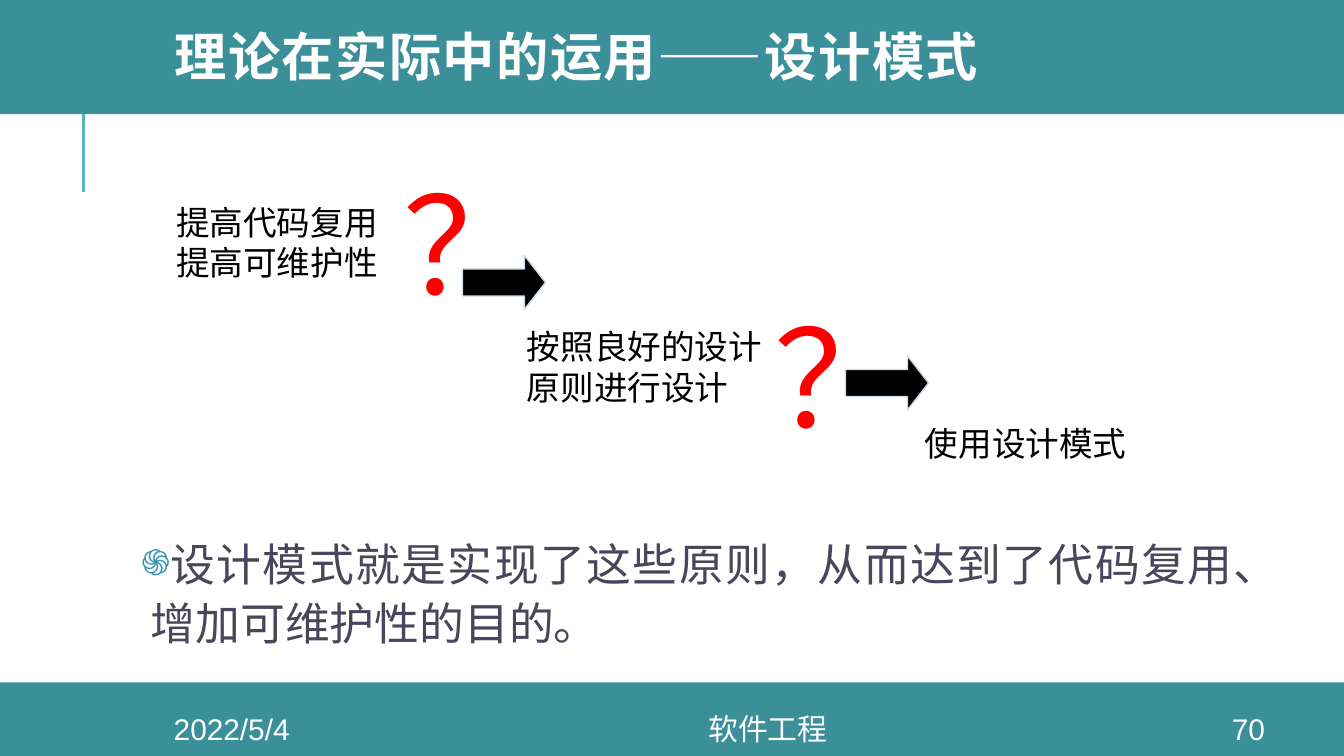
from dataclasses import dataclass

from lxml import etree
from pptx import Presentation
from pptx import util as u
from pptx.dml.color import RGBColor
from pptx.enum import shapes, text
from pptx.oxml import ns


@dataclass(frozen=True)
class Theme:
    font: str = "Arial"
    title_font: str = "Montserrat"
    bar: str = "3A8F98"
    rule: str = "58B6C0"
    outline: str = "CEDBE6"
    bullet: str = "3494BA"
    body: str = "48465B"
    light: str = "FFFFFF"
    dark: str = "000000"
    alert: str = "FF0000"
    title_size: int = 28
    body_size: int = 24
    step_size: int = 18
    footer_size: int = 16
    mark_size: int = 72


THEME = Theme()
SLIDE_SIZE = (25.4, 14.29)
TITLE = "理论在实际中的运用——设计模式"
BODY = "设计模式就是实现了这些原则，从而达到了代码复用、增加可维护性的目的。"
BARS = [(0, 12.9, 25.4, 1.39), (0, -0.08, 25.4, 2.24)]
STEPS = [
    ("提高代码复用\n提高可维护性", (3.1, 3.71, 4.29, 1.78), False),
    ("按照良好的设计原则进行设计", (9.73, 6.07, 5.08, 1.78), True),
    ("使用设计模式", (17.25, 7.9, 4.37, 1), True),
]
MARKS = [(7.39, 2.95), (14.4, 5.46)]
ARROWS = [(8.74, 4.83), (15.98, 6.73)]
FOOTERS = [("2022/5/4", 2.13, 4.5), ("软件工程", 6.63, 15.77), ("70", 22.58, 2.03)]
MARK_SIZE = (0.79, 3.3)
ARROW_SIZE = (1.57, 1.02)
STEP_INSETS = (0.23, 0.1)


def lengths(values):
    return [u.Cm(value) for value in values]


def add_block(slide, kind, box, fill, outline=None):
    shape = slide.shapes.add_shape(kind, *lengths(box))
    shape.shadow.inherit = False
    shape.fill.solid()
    shape.fill.fore_color.rgb = RGBColor.from_string(fill)
    if outline:
        shape.line.color.rgb = RGBColor.from_string(outline)
        shape.line.width = u.Pt(0.75)
    else:
        shape.line.fill.background()
    return shape


def add_text(slide, words, box, size, color, font=THEME.font, insets=(0.25, 0.13),
             align=None, middle=False, wrap=True, grow=False):
    frame = slide.shapes.add_textbox(*lengths(box)).text_frame
    frame.text = words
    frame.word_wrap = wrap
    frame.margin_left = frame.margin_right = u.Cm(insets[0])
    frame.margin_top = frame.margin_bottom = u.Cm(insets[1])
    if middle:
        frame.vertical_anchor = text.MSO_ANCHOR.MIDDLE
    if grow:
        frame.auto_size = text.MSO_AUTO_SIZE.SHAPE_TO_FIT_TEXT
    for paragraph in frame.paragraphs:
        paragraph.alignment = align
        for run in paragraph.runs:
            run.font.name = font
            run.font.size = u.Pt(size)
            run.font.color.rgb = RGBColor.from_string(color)
    return frame.paragraphs[0]


def add_bullet(paragraph, character, color, percent, font):
    properties = paragraph._p.get_or_add_pPr()
    properties.set("marL", str(u.Cm(0.18)))
    properties.set("indent", str(u.Cm(-1.19)))
    bullet_color = etree.SubElement(properties, ns.qn("a:buClr"))
    etree.SubElement(bullet_color, ns.qn("a:srgbClr"), val=color)
    etree.SubElement(properties, ns.qn("a:buSzPct"), val=str(percent * 1000))
    etree.SubElement(properties, ns.qn("a:buFont"), typeface=font)
    etree.SubElement(properties, ns.qn("a:buChar"), char=character)


def add_backdrop(slide):
    rule = slide.shapes.add_connector(
        shapes.MSO_CONNECTOR.STRAIGHT, *lengths((1.58, 3.63, 1.58, 1.73)))
    rule.line.color.rgb = RGBColor.from_string(THEME.rule)
    rule.line.width = u.Pt(1.5)
    etree.SubElement(rule._element.spPr, ns.qn("a:effectLst"))
    for box in BARS:
        add_block(slide, shapes.MSO_SHAPE.RECTANGLE, box, THEME.bar)


def add_title_and_body(slide):
    title = add_text(slide, TITLE, (3.05, 0, 21.56, 2.31), THEME.title_size,
                     THEME.light, THEME.title_font, middle=True)
    title.line_spacing = 0.8
    for run in title.runs:
        run.font.bold = True
        run._r.get_or_add_rPr().set("spc", "80")
    body = add_text(slide, BODY, (2.54, 9.91, 21.77, 3.12), THEME.body_size,
                    THEME.body, insets=(0.13, 0.13), align=text.PP_ALIGN.JUSTIFY)
    add_bullet(body, "֍", THEME.bullet, 80, THEME.font)
    body.line_spacing = 1.1


def add_flow(slide):
    for words, box, wrap in STEPS:
        add_text(slide, words, box, THEME.step_size, THEME.dark,
                 insets=STEP_INSETS, wrap=wrap, grow=True)
    for corner in MARKS:
        add_text(slide, "？", corner + MARK_SIZE, THEME.mark_size, THEME.alert,
                 insets=STEP_INSETS, grow=True)
    for corner in ARROWS:
        arrow = add_block(slide, shapes.MSO_SHAPE.RIGHT_ARROW, corner + ARROW_SIZE,
                          THEME.dark, THEME.outline)
        arrow.adjustments[0] = 0.5
        arrow.adjustments[1] = 0.39


def main():
    """Build the design pattern slide and save it."""
    presentation = Presentation()
    presentation.slide_width, presentation.slide_height = lengths(SLIDE_SIZE)
    slide = presentation.slides.add_slide(presentation.slide_layouts[6])
    add_backdrop(slide)
    add_title_and_body(slide)
    add_flow(slide)
    for words, left, width in FOOTERS:
        add_text(slide, words, (left, 13.49, width, 0.58), THEME.footer_size,
                 THEME.light, align=text.PP_ALIGN.CENTER, middle=True)
    presentation.save("out.pptx")


if __name__ == "__main__":
    main()
